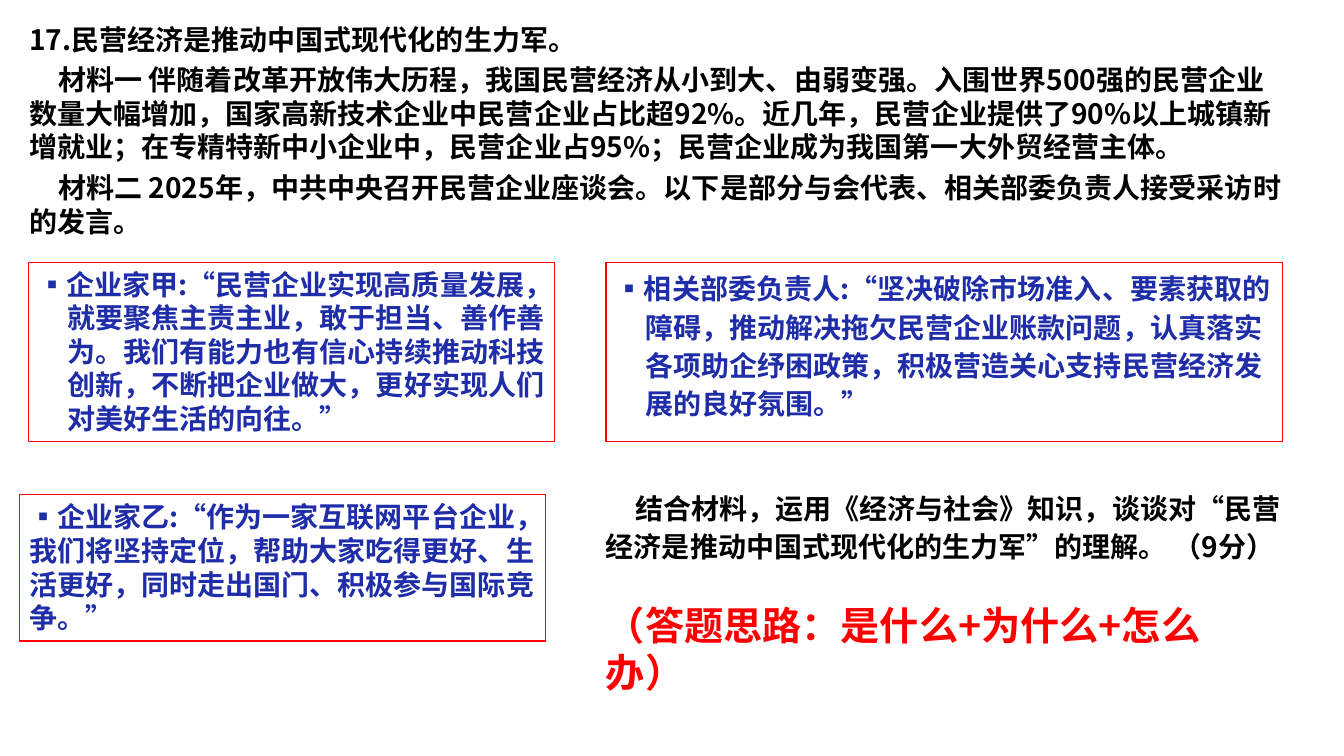
from pptx import Presentation
from pptx import util as u
from pptx.dml.color import RGBColor
from pptx.enum import shapes, text

BLACK = RGBColor(0x00, 0x00, 0x00)
BLUE = RGBColor(0x1F, 0x2D, 0xA8)
RED = RGBColor(0xFF, 0x00, 0x00)
CJK = "Noto Sans CJK SC"
WIDTH, HEIGHT = u.Inches(13.33), u.Inches(7.5)
INDENT = u.Inches(0.29)

LOOSE = {"line_spacing": 1.14, "space_after": u.Pt(8)}
FIRST_LINE = {"marL": 0, "indent": INDENT}
HANGING = {"marL": INDENT, "indent": -INDENT}

MATERIALS = [
    "材料一 伴随着改革开放伟大历程，我国民营经济从小到大、由弱变强。入围世界500强的民营企业"
    "数量大幅增加，国家高新技术企业中民营企业占比超92%。近几年，民营企业提供了90%以上城镇"
    "新增就业；在专精特新中小企业中，民营企业占95%；民营企业成为我国第一大外贸经营主体。",
    "材料二 2025年，中共中央召开民营企业座谈会。以下是部分与会代表、相关部委负责人接受采访"
    "时的发言。",
]

# Places are left, top, width and height in percent of the slide.
SPEECHES = [
    ((2.1, 34.67, 39.16, 23.73), HANGING, {}, True,
     "企业家甲:“民营企业实现高质量发展，就要聚焦主责主业，敢于担当、善作善为。我们有能力也有"
     "信心持续推动科技创新，不断把企业做大，更好实现人们对美好生活的向往。”"),
    ((1.43, 65.47, 39.16, 19.33), {}, {}, True,
     "企业家乙:“作为一家互联网平台企业，我们将坚持定位，帮助大家吃得更好、生活更好，"
     "同时走出国门、积极参与国际竞争。”"),
    ((45.09, 34.67, 50.34, 23.73), HANGING, LOOSE, False,
     "相关部委负责人:“坚决破除市场准入、要素获取的障碍，推动解决拖欠民营企业账款问题，"
     "认真落实各项助企纾困政策，积极营造关心支持民营经济发展的良好氛围。”"),
]


def place(left, top, width, height):
    """Turn percent shares of the slide into lengths."""
    return (int(WIDTH * left / 100), int(HEIGHT * top / 100),
            int(WIDTH * width / 100), int(HEIGHT * height / 100))


def set_all(target, values):
    for name, value in values.items():
        setattr(target, name, value)


def set_frame(sp, grow=True):
    fit = text.MSO_AUTO_SIZE
    set_all(sp.text_frame, {
        "word_wrap": True,
        "vertical_anchor": text.MSO_ANCHOR.TOP,
        "auto_size": fit.SHAPE_TO_FIT_TEXT if grow else fit.NONE,
    })
    return sp.text_frame


def format_paragraph(p, indents, spacing):
    set_all(p, {"alignment": text.PP_ALIGN.LEFT, **spacing})
    for name, value in indents.items():
        p._p.get_or_add_pPr().set(name, str(int(value)))


def add_run(p, words, color, font=CJK, size=20):
    r = p.add_run()
    r.text = words
    set_all(r.font, {"name": font, "size": u.Pt(size), "bold": True})
    r.font.color.rgb = color
    if font == CJK:
        east_asian = r.font._element.makeelement(
            r.font._element.latin.tag.replace("latin", "ea"), {"typeface": font})
        r.font._element.latin.addnext(east_asian)


def add_text(s, share):
    return set_frame(s.shapes.add_textbox(*place(*share)))


def add_speech(s, share, indents, spacing, grow, words):
    sp = s.shapes.add_shape(shapes.MSO_SHAPE.RECTANGLE, *place(*share))
    sp.shadow.inherit = False
    sp.fill.background()
    sp.line.color.rgb = RED
    sp.line.width = u.Pt(0.75)
    p = set_frame(sp, grow).paragraphs[0]
    format_paragraph(p, indents, spacing)
    add_run(p, "▪", BLUE, font="Arial")
    add_run(p, words, BLUE)


def main():
    prs = Presentation()
    set_all(prs, {"slide_width": WIDTH, "slide_height": HEIGHT})
    s = prs.slides.add_slide(prs.slide_layouts[6])

    tf = add_text(s, (1.43, 2.27, 95.35, 30.13))
    add_run(tf.paragraphs[0], "17.民营经济是推动中国式现代化的生力军。", BLACK)
    for material in MATERIALS:
        p = tf.add_paragraph()
        format_paragraph(p, FIRST_LINE, {"space_before": u.Pt(5)})
        add_run(p, material, BLACK)

    p = add_text(s, (44.34, 63.73, 53.26, 11.6)).paragraphs[0]
    format_paragraph(p, FIRST_LINE, LOOSE)
    add_run(p, "结合材料，运用《经济与社会》知识，谈谈对“民营经济是推动中国式现代化的生力军”"
               "的理解。 （9分）", BLACK)

    for speech in SPEECHES:
        add_speech(s, *speech)

    p = add_text(s, (44.34, 78.93, 50.04, 7.6)).paragraphs[0]
    add_run(p, "（答题思路：是什么+为什么+怎么办）", RED, size=28)

    prs.save("out.pptx")


if __name__ == "__main__":
    main()
